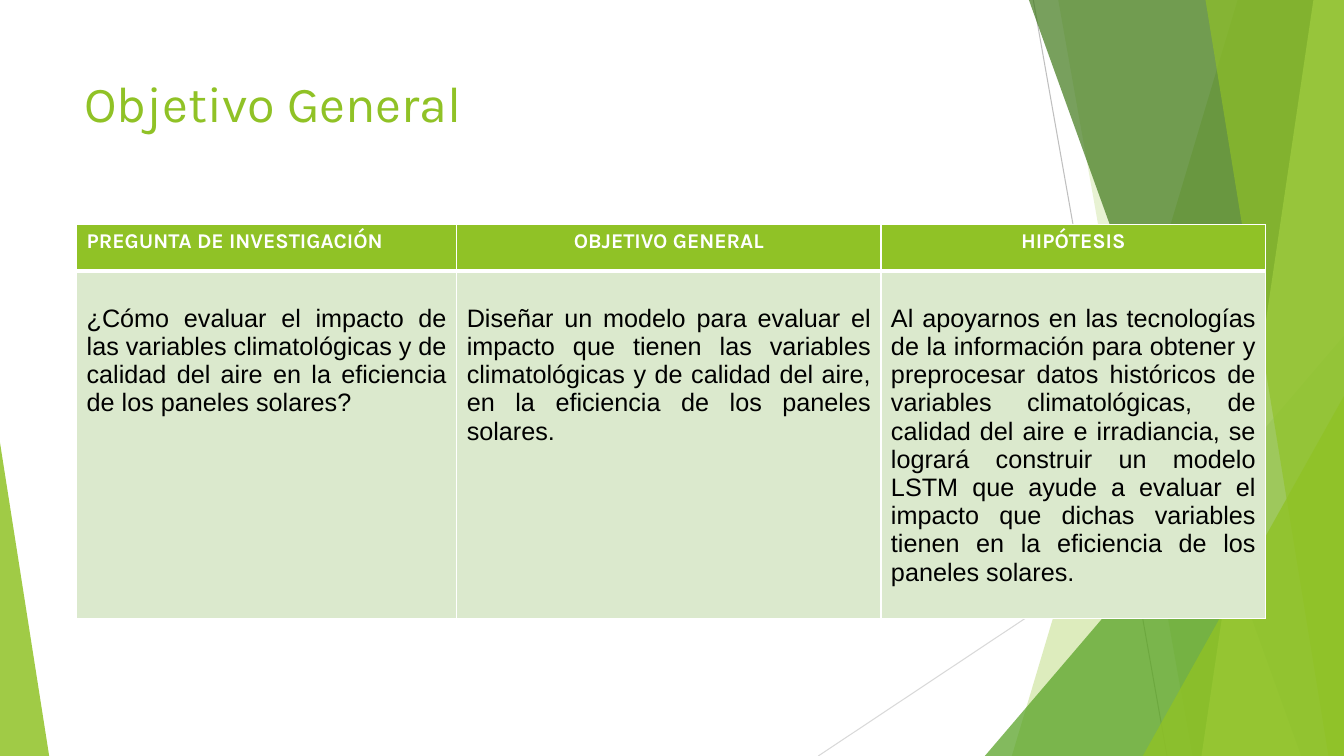
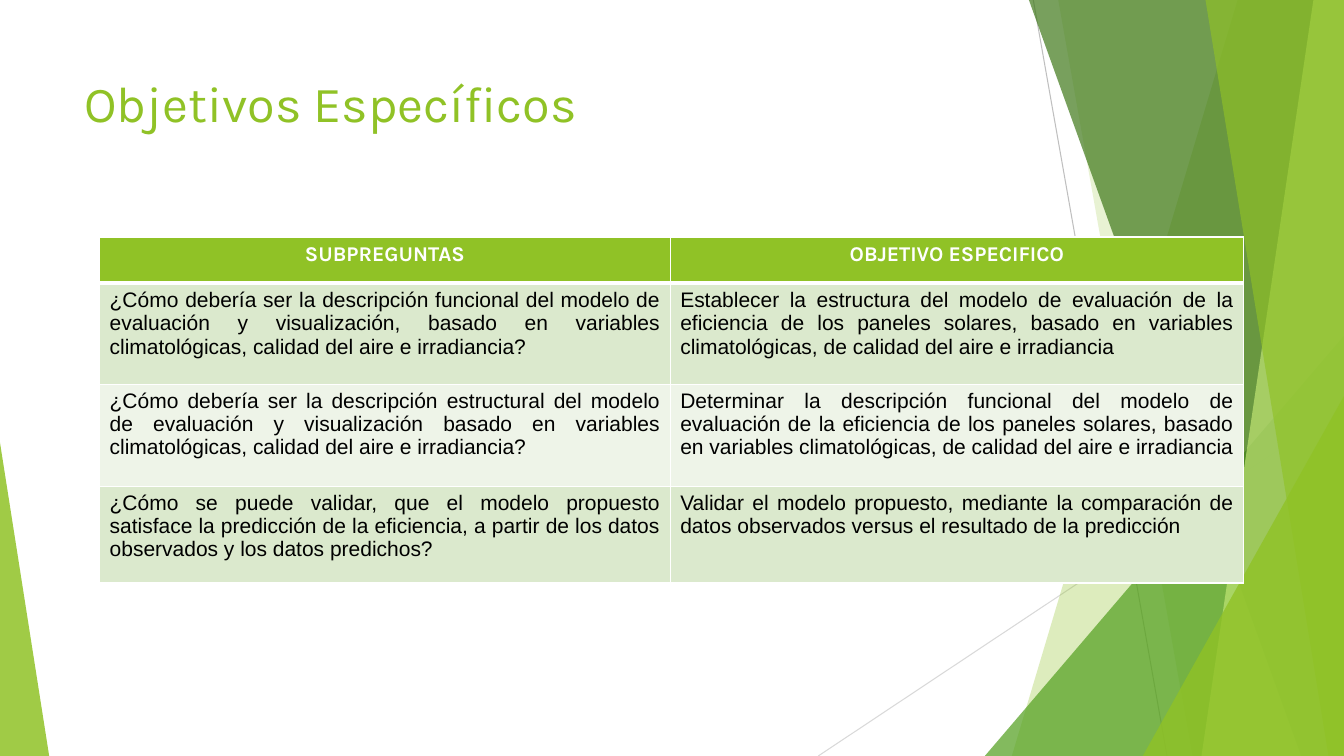
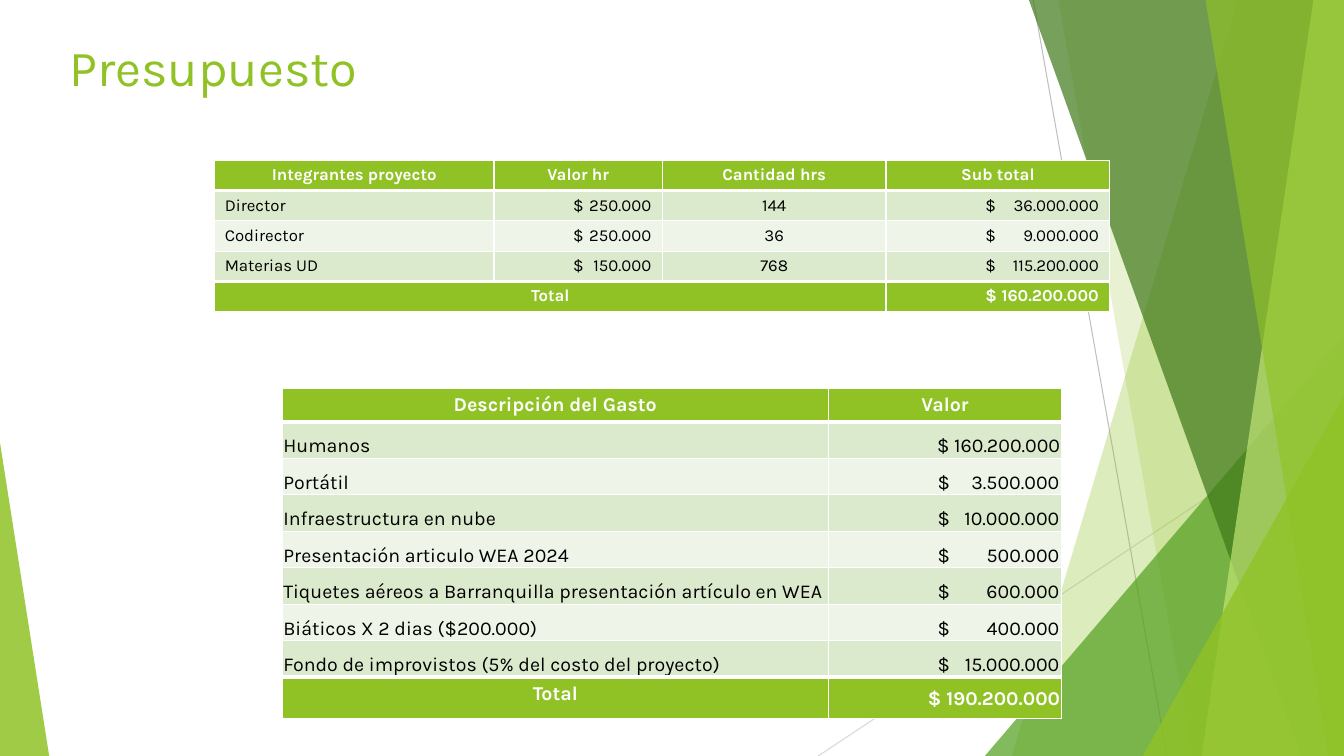
from lxml import etree
from pptx import Presentation
from pptx import util as u
from pptx.dml.color import RGBColor
from pptx.enum import shapes, text
from pptx.oxml import ns

# Shared look: lengths in centimetres, sizes in points
WIDTH, HEIGHT = 33.87, 19.05
WHITE = RGBColor(0xFF, 0xFF, 0xFF)
BLACK = RGBColor(0x00, 0x00, 0x00)
GREEN = RGBColor(0x90, 0xC2, 0x26)
MID_GREEN = RGBColor(0x54, 0xA0, 0x21)
DARK_GREEN = RGBColor(0x3F, 0x78, 0x19)
LIGHT_GREEN = RGBColor(0xC0, 0xE4, 0x74)
GREY = RGBColor(0xBF, 0xBF, 0xBF)
PALE_GREY = RGBColor(0xD9, 0xD9, 0xD9)
ROW_FILLS = (RGBColor(0xDB, 0xE9, 0xCD), RGBColor(0xEE, 0xF4, 0xE8))
TITLE_FONT, BODY_FONT = "Karla", "Arial"
THIN, THICK = 1, 3

LEFT, CENTER = text.PP_ALIGN.LEFT, text.PP_ALIGN.CENTER
RIGHT, JUSTIFY = text.PP_ALIGN.RIGHT, text.PP_ALIGN.JUSTIFY


def apply_format(target, values):
    for name, value in values.items():
        setattr(target, name, value)


def write(para, content, color, **font):
    span = para.add_run()
    span.text = content
    span.font.color.rgb = color
    apply_format(span.font, font)


# Background facets
def paint(shape, color, opacity):
    shape.shadow.inherit = False
    shape.line.fill.background()
    shape.fill.solid()
    shape.fill.fore_color.rgb = color
    tint = shape.fill._xPr.find(".//" + ns.qn("a:srgbClr"))
    etree.SubElement(tint, ns.qn("a:alpha"), val=str(opacity * 1000))


def add_thin_line(page, start, end, color):
    line = page.shapes.add_connector(
        shapes.MSO_CONNECTOR.STRAIGHT, *(u.Cm(v) for v in start + end))
    line.line.color.rgb = color
    line.line.width = u.Pt(0.75)
    etree.SubElement(line._element.spPr, ns.qn("a:effectLst"))


def add_band(page, top_x, bottom_x, color, opacity):
    """Full-height band from a slanted left edge to the right slide edge."""
    corners = [(top_x, 0), (WIDTH, 0), (WIDTH, HEIGHT), (bottom_x, HEIGHT)]
    points = [(u.Cm(x), u.Cm(y)) for x, y in corners]
    outline = page.shapes.build_freeform(*points[0])
    outline.add_line_segments(points[1:])
    paint(outline.convert_to_shape(), color, opacity)


def add_corner(page, left, top, width, apex, color, opacity):
    """Triangle on the bottom edge; apex 0 is at the left, 1 at the right."""
    corner = page.shapes.add_shape(
        shapes.MSO_SHAPE.ISOSCELES_TRIANGLE,
        u.Cm(left), u.Cm(top), u.Cm(width), u.Cm(HEIGHT - top))
    corner.adjustments[0] = apex
    paint(corner, color, opacity)


def add_background(page):
    add_thin_line(page, (26.04, 0), (29.41, HEIGHT), GREY)
    add_thin_line(page, (WIDTH, 10.24), (20.62, HEIGHT), PALE_GREY)
    add_band(page, 31.19, 25.5, GREEN, 30)
    add_band(page, 26.67, 30.05, GREEN, 20)
    add_corner(page, 24.82, 8.46, WIDTH - 24.82, 1, MID_GREEN, 72)
    add_band(page, 25.93, 32.79, DARK_GREEN, 70)
    add_band(page, 33.1, 30.28, LIGHT_GREEN, 70)
    add_band(page, 30.38, 33.48, GREEN, 65)
    add_corner(page, 28.8, 9.98, WIDTH - 28.8, 1, GREEN, 80)
    add_corner(page, 0, 11.15, 1.24, 0, GREEN, 85)


def add_page(deck, title, left=1.88, top=1.7):
    page = deck.slides.add_slide(deck.slide_layouts[6])
    add_background(page)
    box = page.shapes.add_textbox(
        u.Cm(left), u.Cm(top), u.Cm(23.88), u.Cm(3.66))
    box.text_frame.word_wrap = True
    write(box.text_frame.paragraphs[0], title, GREEN,
          name=TITLE_FONT, size=u.Pt(36))
    return page


# Tables
def set_borders(cell, top, bottom):
    properties = cell._tc.get_or_add_tcPr()
    edges = {"lnL": THIN, "lnR": THIN, "lnT": top, "lnB": bottom}
    for position, (edge, points) in enumerate(edges.items()):
        line = etree.Element(ns.qn("a:" + edge), w=str(u.Pt(points)))
        fill = etree.SubElement(line, ns.qn("a:solidFill"))
        etree.SubElement(fill, ns.qn("a:srgbClr"), val=str(WHITE))
        properties.insert(position, line)


def set_tabs(para, dollar, end):
    tabs = etree.SubElement(para._p.get_or_add_pPr(), ns.qn("a:tabLst"))
    for place, side in ((dollar, "l"), (end, "r")):
        etree.SubElement(tabs, ns.qn("a:tab"), pos=str(u.Cm(place)), algn=side)


def add_table(page, left, top, widths, heights, rows, aligns, size,
              font=TITLE_FONT, body_size=None, head_aligns=None, total=False,
              cell_format=None, spacing=None, tabs=None):
    """Header row, striped body and, on request, a green total row.

    tabs gives, for each money column, the places of the sign and the amount.
    """
    frame = page.shapes.add_table(
        len(rows), len(widths), u.Cm(left), u.Cm(top),
        u.Cm(sum(widths)), u.Cm(sum(heights)))
    table = frame.table
    apply_format(table, {"first_row": False, "horz_banding": False})
    for column, width in zip(table.columns, widths):
        column.width = u.Cm(width)
    for line, height in zip(table.rows, heights):
        line.height = u.Cm(height)

    last = len(rows) - 1
    heavy = {1, last} if total else {1}
    for r, row in enumerate(rows):
        is_total = total and r == last
        strong = r == 0 or is_total
        for c, content in enumerate(row):
            cell = table.cell(r, c)
            cell.fill.solid()
            cell.fill.fore_color.rgb = GREEN if strong else ROW_FILLS[(r - 1) % 2]
            set_borders(cell, THICK if r in heavy else THIN,
                        THICK if r + 1 in heavy else THIN)
            if not strong or (is_total and c > 0):
                apply_format(cell, cell_format or {})
            para = cell.text_frame.paragraphs[0]
            if r == 0:
                para.alignment = head_aligns[c] if head_aligns else CENTER
            elif is_total and c == 0:
                para.alignment = CENTER
            else:
                para.alignment = aligns[c]
            if spacing and not strong:
                para.line_spacing = spacing
            if "\t" in content:
                para.alignment = LEFT
                set_tabs(para, *tabs[c])
            if content:
                write(para, content, WHITE if strong else BLACK,
                      name=TITLE_FONT if strong else font, bold=strong,
                      size=u.Pt(size if strong else body_size or size))
    if total and len(widths) > 2:
        table.cell(last, 0).merge(table.cell(last, len(widths) - 2))


# Slides
def add_general_goal(deck):
    page = add_page(deck, "Objetivo General")
    rows = [
        ("PREGUNTA DE INVESTIGACIÓN", "OBJETIVO GENERAL", "HIPÓTESIS"),
        ("¿Cómo evaluar el impacto de las variables climatológicas y de "
         "calidad del aire en la eficiencia de los paneles solares?",
         "Diseñar un modelo para evaluar el impacto que tienen las variables "
         "climatológicas y de calidad del aire, en la eficiencia de los "
         "paneles solares.",
         "Al apoyarnos en las tecnologías de la información para obtener y "
         "preprocesar datos históricos de variables climatológicas, de "
         "calidad del aire e irradiancia, se logrará construir un modelo "
         "LSTM que ayude a evaluar el impacto que dichas variables tienen en "
         "la eficiencia de los paneles solares."),
    ]
    add_table(page, 1.93, 5.66, (9.58, 10.69, 9.7), (1.17, 8.76), rows,
              [JUSTIFY] * 3, 15, font=BODY_FONT, body_size=18,
              head_aligns=(LEFT, CENTER, CENTER),
              cell_format={"margin_top": u.Cm(0.84)})


def add_specific_goals(deck):
    page = add_page(deck, "Objetivos Específicos")
    rows = [
        ("SUBPREGUNTAS", "OBJETIVO ESPECIFICO"),
        ("¿Cómo debería ser la descripción funcional del modelo de "
         "evaluación y visualización, basado en variables climatológicas, "
         "calidad del aire e irradiancia?",
         "Establecer la estructura del modelo de evaluación de la eficiencia "
         "de los paneles solares, basado en variables climatológicas, de "
         "calidad del aire e irradiancia"),
        ("¿Cómo debería ser la descripción estructural del modelo de "
         "evaluación y visualización basado en variables climatológicas, "
         "calidad del aire e irradiancia?",
         "Determinar la descripción funcional del modelo de evaluación de la "
         "eficiencia de los paneles solares, basado en variables "
         "climatológicas, de calidad del aire e irradiancia"),
        ("¿Cómo se puede validar, que el modelo propuesto satisface la "
         "predicción de la eficiencia, a partir de los datos observados y "
         "los datos predichos?",
         "Validar el modelo propuesto, mediante la comparación de datos "
         "observados versus el resultado de la predicción"),
    ]
    add_table(page, 2.51, 5.97, (14.38, 14.45), (1.17, 2.54, 2.57, 2.44),
              rows, [JUSTIFY] * 2, 15, font=BODY_FONT)


def add_budget(deck):
    page = add_page(deck, "Presupuesto", left=1.5, top=0.79)
    expenses = [
        ("Descripción del Gasto", "Valor"),
        ("Humanos", "$ 160.200.000"),
        ("Portátil", "\t$\t3.500.000"),
        ("Infraestructura en nube", "\t$\t10.000.000"),
        ("Presentación articulo WEA 2024", "\t$\t500.000"),
        ("Tiquetes aéreos a Barranquilla presentación artículo en WEA",
         "\t$\t600.000"),
        ("Biáticos X 2 dias ($200.000)", "\t$\t400.000"),
        ("Fondo de improvistos (5% del costo del proyecto)",
         "\t$\t15.000.000"),
        ("Total", "$ 190.200.000"),
    ]
    tight = {"margin_left": u.Cm(0.03), "margin_right": u.Cm(0.03),
             "margin_top": u.Cm(0.03), "margin_bottom": 0,
             "vertical_anchor": text.MSO_ANCHOR.MIDDLE}
    add_table(page, 7.11, 9.78, (13.77, 5.87), [0.82] + [0.9] * 7 + [1.04],
              expenses, (LEFT, RIGHT), 14, total=True, cell_format=tight,
              spacing=1.5, tabs={1: (2.72, 5.79)})

    staff = [
        ("Integrantes proyecto", "Valor hr", "Cantidad hrs", "Sub total"),
        ("Director", "\t$\t250.000", "144", "\t$\t36.000.000"),
        ("Codirector", "\t$\t250.000", "36", "\t$\t9.000.000"),
        ("Materias UD", "\t$\t150.000", "768", "\t$\t115.200.000"),
        ("Total", "", "", "\t$\t160.200.000"),
    ]
    add_table(page, 5.41, 4.04, (7.04, 4.24, 5.64, 5.64), [0.75] * 5, staff,
              (LEFT, RIGHT, CENTER, RIGHT), 12, total=True,
              tabs={1: (1.74, 3.71), 3: (2.25, 5.11)})


def main():
    deck = Presentation()
    deck.slide_width, deck.slide_height = u.Cm(WIDTH), u.Cm(HEIGHT)
    add_general_goal(deck)
    add_specific_goals(deck)
    add_budget(deck)
    deck.save("out.pptx")


if __name__ == "__main__":
    main()
